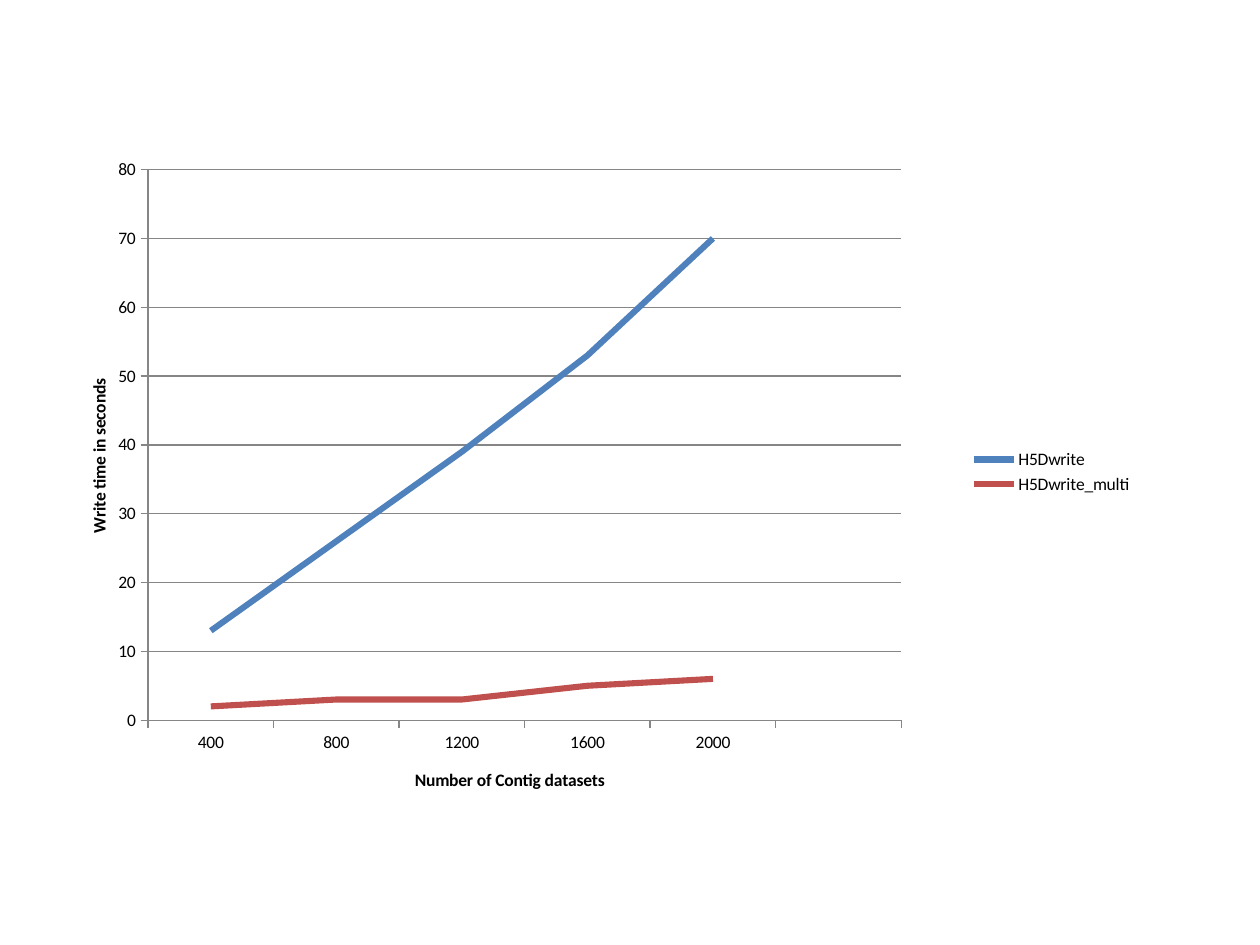
from lxml.etree import SubElement
from pptx import Presentation
from pptx.chart.data import CategoryChartData
from pptx.dml.color import RGBColor
from pptx.enum.chart import XL_CHART_TYPE, XL_LEGEND_POSITION, XL_MARKER_STYLE, XL_TICK_MARK
from pptx.oxml.ns import qn
from pptx.util import Inches, Pt

FONT = "Calibri"
BLACK = RGBColor(0x00, 0x00, 0x00)
GRAY = RGBColor(0x86, 0x86, 0x86)
BLUE = RGBColor(0x4F, 0x81, 0xBD)
RED = RGBColor(0xC0, 0x50, 0x4D)

COUNTS = ["400", "800", "1200", "1600", "2000", ""]
SERIES = [
    ("H5Dwrite", [13, 26, 39, 53, 70, None], BLUE),
    ("H5Dwrite_multi", [2, 3, 3, 5, 6, None], RED),
]


def set_font(font, bold=False):
    font.name = FONT
    font.size = Pt(10)
    font.bold = bold
    font.color.rgb = BLACK


def style_axis(axis, title):
    frame = axis.axis_title.text_frame
    frame.text = title
    set_font(frame.paragraphs[0].runs[0].font, bold=True)
    axis.major_tick_mark = XL_TICK_MARK.OUTSIDE
    axis.minor_tick_mark = XL_TICK_MARK.NONE
    axis.format.line.color.rgb = GRAY
    axis.format.line.width = Pt(0.75)


def place_plot(chart, x, y, w, h):
    """Fix the inner plot area, in fractions of the chart."""
    area = chart.element.chart.plotArea
    for old in area.findall(qn("c:layout")):
        area.remove(old)
    layout = area.makeelement(qn("c:layout"))
    area.insert(0, layout)
    manual = SubElement(layout, qn("c:manualLayout"))
    parts = [("layoutTarget", "inner"), ("xMode", "edge"), ("yMode", "edge"),
             ("x", x), ("y", y), ("w", w), ("h", h)]
    for tag, value in parts:
        SubElement(manual, qn(f"c:{tag}")).set("val", str(value))


def add_time_chart(slide, left, top, width, height):
    data = CategoryChartData()
    data.categories = COUNTS
    for name, values, _ in SERIES:
        data.add_series(name, values)
    chart = slide.shapes.add_chart(
        XL_CHART_TYPE.LINE, left, top, width, height, data).chart
    set_font(chart.font)
    chart.has_title = False
    chart.has_legend = True
    chart.legend.position = XL_LEGEND_POSITION.RIGHT
    chart.legend.include_in_layout = False

    style_axis(chart.category_axis, "Number of Contig datasets")
    scale = chart.value_axis
    style_axis(scale, "Write time in seconds")
    scale.minimum_scale, scale.maximum_scale, scale.major_unit = 0, 80, 10
    scale.has_major_gridlines = True
    grid = scale.major_gridlines.format.line
    grid.color.rgb = GRAY
    grid.width = Pt(0.75)

    plot = chart.plots[0]
    plot.vary_by_categories = False
    for line, (_, _, color) in zip(plot.series, SERIES):
        line.smooth = False
        line.marker.style = XL_MARKER_STYLE.NONE
        line.format.line.color.rgb = color
        line.format.line.width = Pt(3.5)
    place_plot(chart, 0.06, 0.05, 0.71, 0.82)


def main():
    deck = Presentation()
    deck.slide_width, deck.slide_height = Inches(10), Inches(7.5)
    slide = deck.slides.add_slide(deck.slide_layouts[6])
    add_time_chart(slide, Inches(0.67), Inches(1.08), Inches(8.42), Inches(5.33))
    deck.save("out.pptx")


if __name__ == "__main__":
    main()
